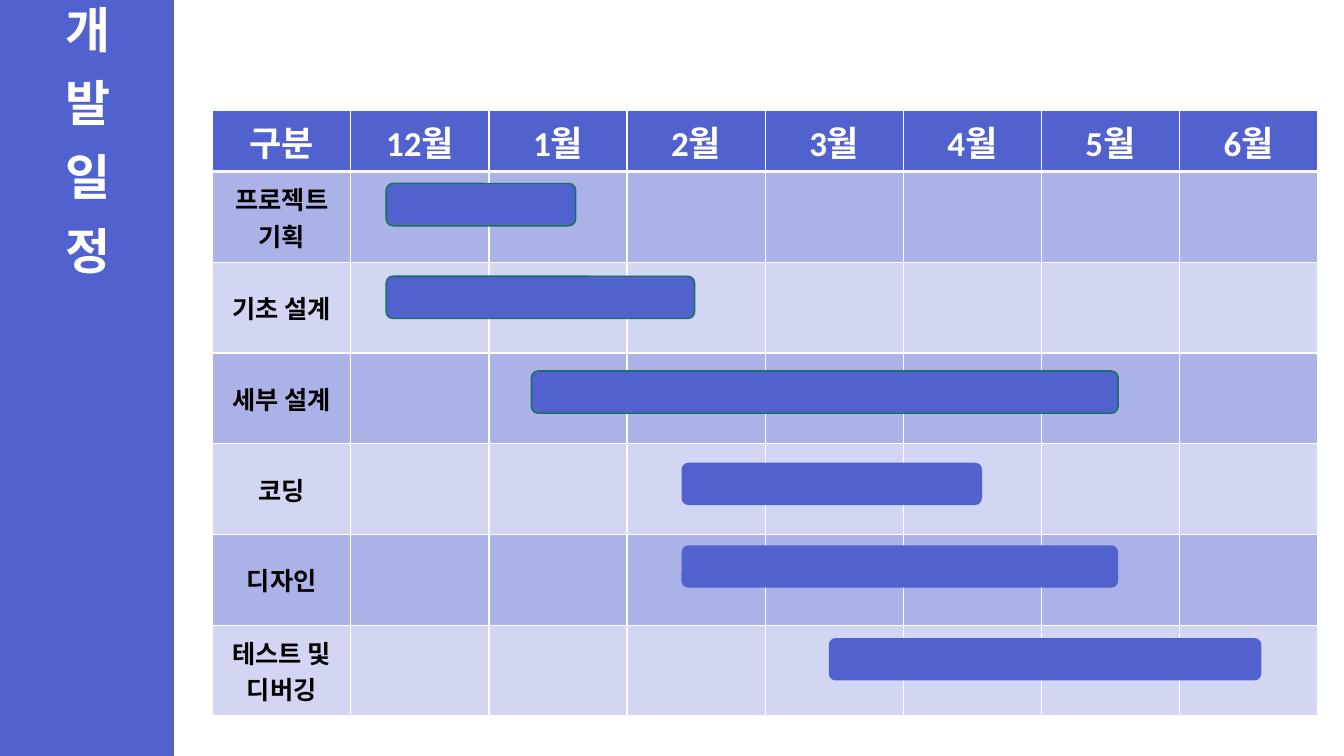
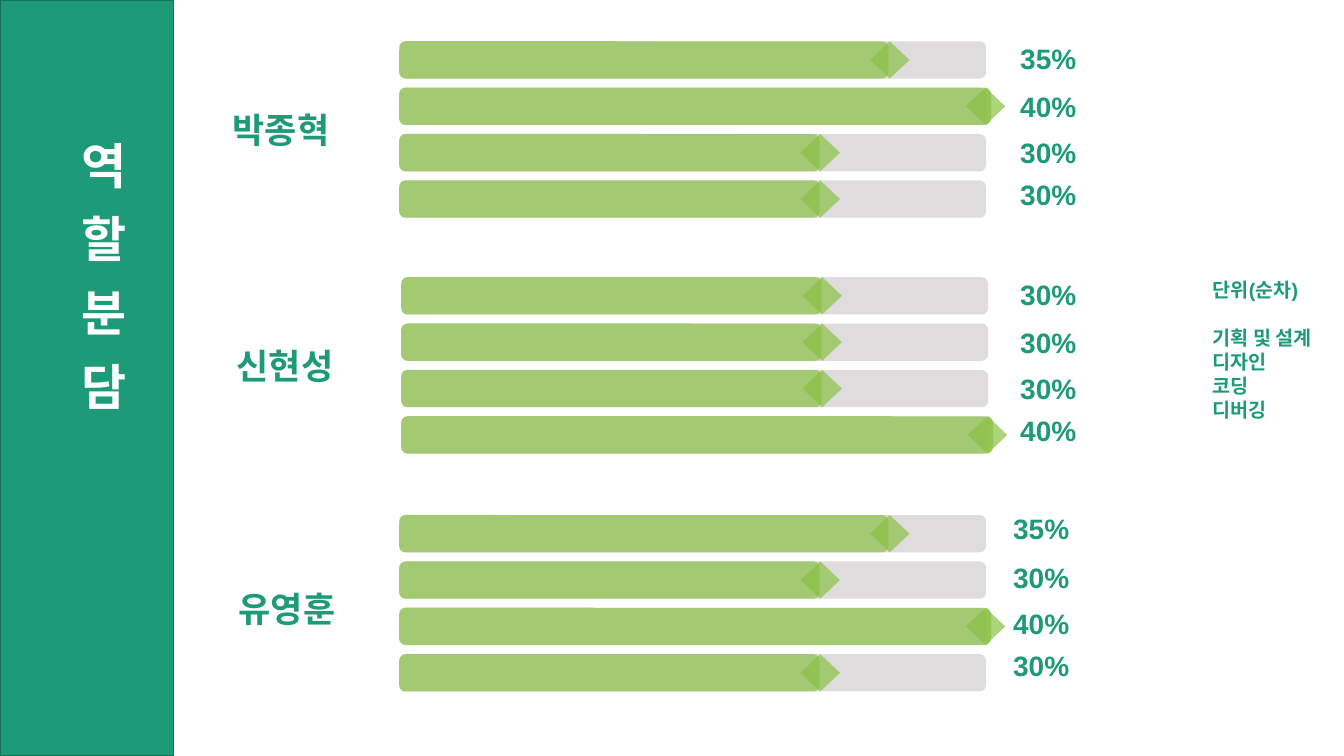
from typing import NamedTuple

from lxml.etree import SubElement
from pptx import Presentation
from pptx.dml.color import RGBColor
from pptx.enum.shapes import MSO_SHAPE
from pptx.enum.text import MSO_ANCHOR, MSO_AUTO_SIZE, PP_ALIGN
from pptx.oxml.ns import qn
from pptx.util import Emu, Pt

PX = 9144  # 100 px to the inch
SLIDE_W, SLIDE_H, BAND_W = 1333, 750, 172
HANGUL_FONT = "Noto Sans CJK KR"

COLORS = {
    "blue": "5161CE",
    "row_dark": "ABB2E7",
    "row_light": "D2D6F2",
    "green": "1D9A78",
    "outline": "157259",
    "lime": "8BC145",
    "track": "D0CECE",
    "white": "FFFFFF",
    "black": "000000",
}


class Box(NamedTuple):
    left: int
    top: int
    width: int
    height: int


class Task(NamedTuple):
    name: str
    start: int
    top: int
    length: int
    line: str | None = None


class Member(NamedTuple):
    name: str
    name_left: int
    name_top: int
    bar_left: int
    bar_top: int
    label_left: int
    label_top: int
    shares: tuple[int, ...]


class ShareBar(NamedTuple):
    length: int
    marker: int  # marker offset from the start of the bar


MONTHS = ("12월", "1월", "2월", "3월", "4월", "5월", "6월")
TASKS = (
    Task("프로젝트 기획", 383, 182, 188, "outline"),
    Task("기초 설계", 383, 274, 306, "outline"),
    Task("세부 설계", 527, 368, 582, "outline"),
    Task("코딩", 676, 459, 298),
    Task("디자인", 676, 541, 433),
    Task("테스트 및 디버깅", 822, 633, 429),
)
MEMBERS = (
    Member("박종혁", 221, 102, 396, 41, 1002, 36, (35, 40, 30, 30)),
    Member("신현성", 225, 337, 398, 275, 1002, 270, (30, 30, 30, 40)),
    Member("유영훈", 227, 578, 396, 511, 995, 503, (35, 30, 40, 30)),
)
SHARE_BARS = {30: ShareBar(417, 398), 35: ShareBar(485, 467), 40: ShareBar(587, 562)}
LABEL_STEPS = (0, 48, 94, 135)
BAR_STEP, BAR_H, TRACK_W, MARKER_W = 46, 37, 582, 39
LEGEND = ("단위(순차)", "기획 및 설계", "디자인", "코딩", "디버깅")


def emu(box: Box) -> list[Emu]:
    return [Emu(length * PX) for length in box]


def rgb(color: str) -> RGBColor:
    return RGBColor.from_string(COLORS[color])


def write(frame, *lines: str, size: float, color: str, font: str = "Arial",
          align=PP_ALIGN.LEFT, anchor=MSO_ANCHOR.TOP, wrap: bool = True,
          line_height: float | None = None, spacing: float = 0) -> None:
    """Fill a text frame with one bold paragraph for each line."""
    frame.word_wrap = wrap
    frame.vertical_anchor = anchor
    for index, line in enumerate(lines):
        paragraph = frame.add_paragraph() if index else frame.paragraphs[0]
        paragraph.alignment = align
        if line_height:
            paragraph.line_spacing = Pt(line_height)
        run = paragraph.add_run()
        run.text = line
        run.font.size, run.font.bold, run.font.name = Pt(size), True, font
        run.font.color.rgb = rgb(color)
        props = run.font._element
        props.find(qn("a:latin")).addnext(
            props.makeelement(qn("a:ea"), {"typeface": HANGUL_FONT}))
        if spacing:
            props.set("spc", str(round(spacing * 100)))


def add_text(slide, box: Box, *lines: str, **text_format):
    frame = slide.shapes.add_textbox(*emu(box)).text_frame
    write(frame, *lines, **text_format)
    return frame


def add_block(slide, kind, box: Box, fill: str, line: str | None = None,
              opacity: int = 100, corner: float | None = None):
    block = slide.shapes.add_shape(kind, *emu(box))
    block.shadow.inherit = False
    block.fill.solid()
    block.fill.fore_color.rgb = rgb(fill)
    if opacity < 100:
        color = block.fill._xPr.find(qn("a:solidFill"))[0]
        SubElement(color, qn("a:alpha"), val=str(opacity * 1000))
    if line:
        block.line.color.rgb = rgb(line)
        block.line.width = Pt(1)
    else:
        block.line.fill.background()
    if corner is not None:
        block.adjustments[0] = corner
    return block


def add_titled_slide(deck, text: str, title_box: Box, fill: str, line: str):
    """Title-only slide with a vertical title on a band at the left edge."""
    slide = deck.slides.add_slide(deck.slide_layouts[5])
    title = slide.shapes.title
    title.left, title.top, title.width, title.height = emu(title_box)
    frame = title.text_frame
    frame.auto_size = MSO_AUTO_SIZE.NONE
    write(frame, text, size=35, color="white", font=HANGUL_FONT,
          anchor=MSO_ANCHOR.MIDDLE, spacing=4.8)
    frame._txBody.bodyPr.set("vert", "eaVert")
    band = add_block(slide, MSO_SHAPE.RECTANGLE, Box(0, 0, BAND_W, SLIDE_H), fill, line)
    title.element.addprevious(band.element)
    return slide


def style_cell(cell, fill: str, bottom: int) -> None:
    props = cell._tc.get_or_add_tcPr()
    for side, width in (("L", 1), ("R", 1), ("T", 1), ("B", bottom)):
        border = SubElement(props, qn(f"a:ln{side}"), w=str(Pt(width)))
        SubElement(SubElement(border, qn("a:solidFill")), qn("a:srgbClr"),
                   val=COLORS["white"])
    cell.fill.solid()
    cell.fill.fore_color.rgb = rgb(fill)


def add_schedule_table(slide) -> None:
    header_h, row_h, column_w = 59, 90, 137
    rows, columns = len(TASKS) + 1, len(MONTHS) + 1
    box = Box(211, 110, columns * column_w, header_h + len(TASKS) * row_h)
    table = slide.shapes.add_table(rows, columns, *emu(box)).table
    for column in table.columns:
        column.width = Emu(column_w * PX)
    for index, row in enumerate(table.rows):
        row.height = Emu((row_h if index else header_h) * PX)
        fill = ("row_dark" if index % 2 else "row_light") if index else "blue"
        for cell in row.cells:
            style_cell(cell, fill, bottom=1 if index else 3)

    def label(row: int, column: int, text: str, size: int, color: str, anchor) -> None:
        cell = table.cell(row, column)
        write(cell.text_frame, text, size=size, color=color, font="Calibri",
              align=PP_ALIGN.CENTER)
        cell.vertical_anchor = anchor

    for column, heading in enumerate(("구분", *MONTHS)):
        label(0, column, heading, 25, "white", MSO_ANCHOR.TOP)
    for row, task in enumerate(TASKS, start=1):
        label(row, 0, task.name, 18, "black", MSO_ANCHOR.MIDDLE)


def build_schedule(deck) -> None:
    slide = add_titled_slide(deck, "개 발 일 정", Box(0, 0, BAND_W, SLIDE_H),
                             "blue", "blue")
    add_schedule_table(slide)
    for task in TASKS:
        add_block(slide, MSO_SHAPE.ROUNDED_RECTANGLE,
                  Box(task.start, task.top, task.length, 42),
                  "blue", task.line, corner=0.16)


def add_member(slide, member: Member) -> None:
    add_text(slide, Box(member.name_left, member.name_top, 125, 52), member.name,
             size=25, color="green", anchor=MSO_ANCHOR.MIDDLE, wrap=False)
    for index, (share, label_step) in enumerate(zip(member.shares, LABEL_STEPS)):
        left, top = member.bar_left, member.bar_top + index * BAR_STEP
        bar = SHARE_BARS[share]
        # Track, filled bar and end marker
        for kind, offset, width, fill in (
            (MSO_SHAPE.ROUNDED_RECTANGLE, 0, TRACK_W, "track"),
            (MSO_SHAPE.ROUNDED_RECTANGLE, 0, bar.length, "lime"),
            (MSO_SHAPE.DIAMOND, bar.marker, MARKER_W, "lime"),
        ):
            add_block(slide, kind, Box(left + offset, top, width, BAR_H), fill, opacity=70)
        add_text(slide, Box(member.label_left, member.label_top + label_step, 101, 44),
                 f"{share}%", size=20, color="green")


def build_roles(deck) -> None:
    slide = add_titled_slide(deck, "역 할 분 담", Box(61, 135, 80, 517),
                             "green", "outline")
    for member in MEMBERS:
        add_member(slide, member)
    # Order of the bars within each group
    legend = add_text(slide, Box(1193, 271, 132, 151), *LEGEND, size=14,
                      color="green", wrap=False, line_height=17)
    legend.paragraphs[1].space_before = Pt(17)


def main() -> None:
    deck = Presentation()
    deck.slide_width, deck.slide_height = Emu(SLIDE_W * PX), Emu(SLIDE_H * PX)
    build_schedule(deck)
    build_roles(deck)
    deck.save("out.pptx")


if __name__ == "__main__":
    main()
